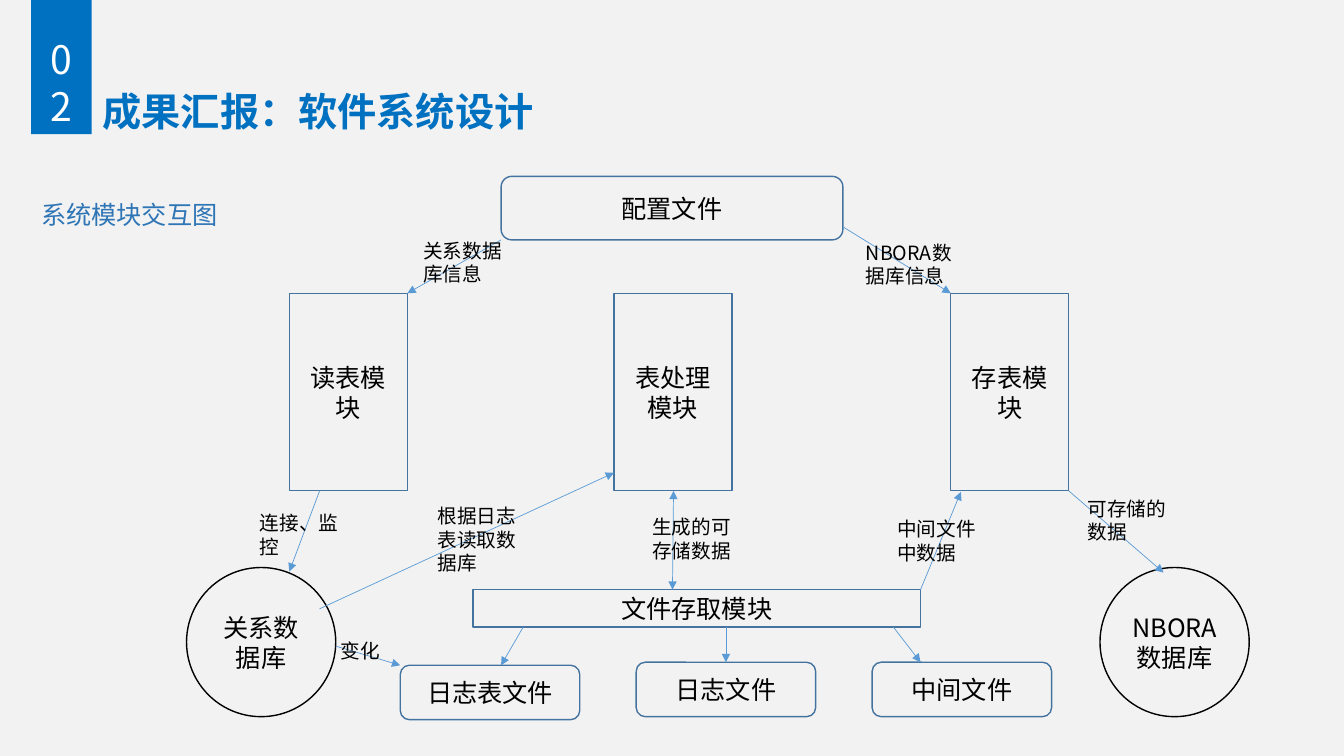
from dataclasses import dataclass
from typing import NamedTuple

from pptx import Presentation
from pptx import util as u
from pptx.dml import color
from pptx.enum import shapes, text
from pptx.oxml import ns
from lxml import etree


@dataclass(frozen=True)
class Theme:
    back: str = "F2F2F2"
    blue: str = "0070C0"
    note: str = "2E75B6"
    edge: str = "43739E"
    arrow: str = "5B9BD5"
    black: str = "000000"
    white: str = "FFFFFF"
    head: float = 28
    body: float = 18
    small: float = 14
    sans: str = "Noto Sans CJK SC"
    serif: str = "Times New Roman"
    title: str = "Calibri"


class Node(NamedTuple):
    words: str
    kind: shapes.MSO_SHAPE
    left: float
    top: float
    width: float
    height: float
    edge: str


class Arrow(NamedTuple):
    x1: float
    y1: float
    x2: float
    y2: float
    both: bool = False


class Label(NamedTuple):
    words: str
    left: float
    top: float
    height: float = 0.57


T = Theme()
RECT = shapes.MSO_SHAPE.RECTANGLE
ROUND = shapes.MSO_SHAPE.ROUNDED_RECTANGLE
OVAL = shapes.MSO_SHAPE.OVAL
MID = text.MSO_ANCHOR.MIDDLE
CENTER = text.PP_ALIGN.CENTER

NODES = [
    Node("配置文件", ROUND, 4.97, 1.75, 3.39, 0.63, T.edge),
    Node("文件存取模块", RECT, 4.69, 5.85, 4.44, 0.37, T.edge),
    *[Node(words, OVAL, left, 5.63, 1.48, 1.48, T.black)
      for words, left in [("关系数据库", 1.85), ("NBORA数据库", 10.91)]],
    *[Node(words, RECT, left, 2.91, 1.17, 1.96, T.edge)
      for words, left in [("读表模块", 2.87), ("表处理模块", 6.09), ("存表模块", 9.43)]],
    *[Node(words, ROUND, left, top, 1.78, 0.54, T.edge)
      for words, left, top in [("日志表文件", 3.97, 6.6), ("日志文件", 6.31, 6.57),
                               ("中间文件", 8.65, 6.57)]],
]

ARROWS = [
    Arrow(7.2, 6.22, 7.2, 6.57),
    Arrow(5.19, 6.22, 4.97, 6.6),
    Arrow(8.86, 6.22, 9.13, 6.57),
    Arrow(4.97, 2.38, 4.04, 2.91),
    Arrow(3.17, 4.87, 2.87, 5.67),
    Arrow(3.17, 6.04, 6.09, 4.69),
    Arrow(3.33, 6.41, 3.97, 6.6),
    Arrow(9.13, 5.85, 9.53, 4.88),
    Arrow(10.6, 4.87, 11.54, 5.68),
    Arrow(8.36, 2.25, 9.43, 2.91),
    Arrow(6.68, 4.87, 6.67, 5.85, both=True),
]

LABELS = [
    Label("关系数据库信息", 4.1, 2.32),
    Label("连接、监控", 2.48, 5.02),
    Label("根据日志表读取数据库", 4.24, 4.95, 0.81),
    Label("变化", 3.28, 6.29, 0.34),
    Label("生成的可存储数据", 6.37, 5.06),
    Label("NBORA数据库信息", 8.49, 2.34),
    Label("中间文件中数据", 8.8, 5.08),
    Label("可存储的数据", 10.69, 4.88),
]


def tint(code: str) -> color.RGBColor:
    return color.RGBColor.from_string(code)


def write(shape, words: str, size: float, ink: str, face: str = T.sans,
          bold: bool = False, align=None, anchor=text.MSO_ANCHOR.TOP) -> None:
    frame = shape.text_frame
    frame.word_wrap = True
    frame.vertical_anchor = anchor
    para = frame.paragraphs[0]
    para.alignment = align
    run = para.add_run()
    run.text = words
    font = run.font
    font.size, font.bold, font.name = u.Pt(size), bold, face
    font.color.rgb = tint(ink)
    east = etree.SubElement(run._r.get_or_add_rPr(), ns.qn("a:ea"))
    east.set("typeface", T.sans)


def add_box(slide, left: float, top: float, width: float, height: float):
    return slide.shapes.add_textbox(*map(u.Inches, (left, top, width, height)))


def add_node(slide, node: Node) -> None:
    spot = map(u.Inches, (node.left, node.top, node.width, node.height))
    shape = slide.shapes.add_shape(node.kind, *spot)
    shape.shadow.inherit = False
    shape.fill.background()
    shape.line.color.rgb = tint(node.edge)
    shape.line.width = u.Pt(1)
    write(shape, node.words, T.body, T.black, align=CENTER, anchor=MID)


def add_arrow(slide, arrow: Arrow) -> None:
    ends = map(u.Inches, (arrow.x1, arrow.y1, arrow.x2, arrow.y2))
    link = slide.shapes.add_connector(shapes.MSO_CONNECTOR.STRAIGHT, *ends)
    link.line.color.rgb = tint(T.arrow)
    link.line.width = u.Pt(0.5)
    stroke = link.line._get_or_add_ln()
    for tag in ["a:headEnd", "a:tailEnd"] if arrow.both else ["a:tailEnd"]:
        etree.SubElement(stroke, ns.qn(tag)).set("type", "triangle")
    etree.SubElement(link._element.spPr, ns.qn("a:effectLst"))


def add_label(slide, label: Label) -> None:
    box = add_box(slide, label.left, label.top, 1.07, label.height)
    write(box, label.words, T.small, T.black)
    box.text_frame.auto_size = text.MSO_AUTO_SIZE.SHAPE_TO_FIT_TEXT


def add_head(slide) -> None:
    title = add_box(slide, 0.92, 0.4, 11.5, 1.45)
    write(title, "成果汇报：软件系统设计", T.head, T.blue, T.title, bold=True, anchor=MID)
    title.text_frame.paragraphs[0].line_spacing = 0.9
    note = add_box(slide, 0.31, 1.33, 12.89, 5.98)
    write(note, "系统模块交互图", T.body, T.note, T.serif)
    note.text_frame.margin_top = u.Inches(0.65)
    spot = map(u.Inches, (0.31, 0, 0.6, 1.33))
    badge = slide.shapes.add_shape(ROUND, *spot)
    badge.adjustments[0] = 0
    badge.shadow.inherit = False
    badge.fill.solid()
    badge.fill.fore_color.rgb = tint(T.blue)
    badge.line.fill.background()
    write(badge, "02", T.head, T.white, align=CENTER, anchor=text.MSO_ANCHOR.BOTTOM)


def main() -> None:
    deck = Presentation()
    deck.slide_width, deck.slide_height = u.Inches(13.33), u.Inches(7.5)
    slide = deck.slides.add_slide(deck.slide_layouts[6])
    slide.background.fill.solid()
    slide.background.fill.fore_color.rgb = tint(T.back)
    add_head(slide)
    for node in NODES:
        add_node(slide, node)
    for arrow in ARROWS:
        add_arrow(slide, arrow)
    for label in LABELS:
        add_label(slide, label)
    deck.save("out.pptx")


if __name__ == "__main__":
    main()
